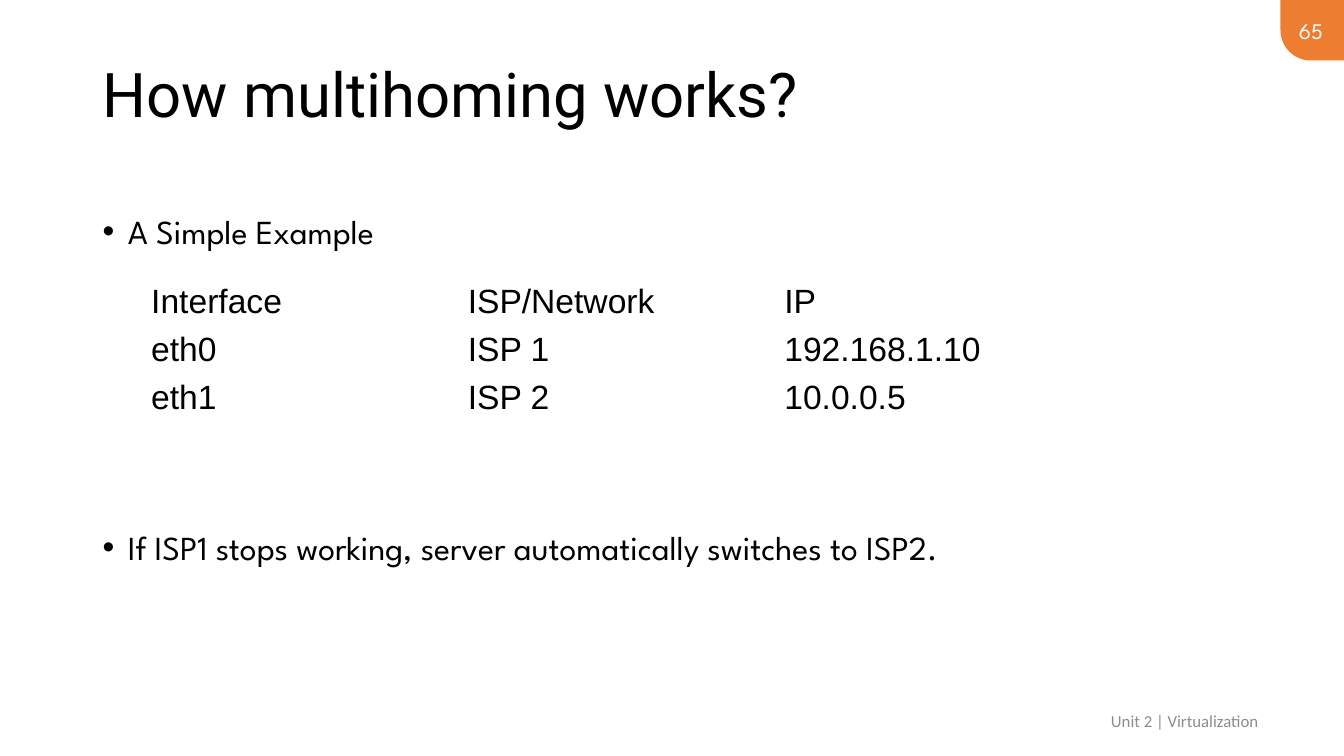
from dataclasses import dataclass

from lxml.etree import SubElement
from pptx import Presentation
from pptx.dml.color import RGBColor
from pptx.enum.shapes import MSO_SHAPE as Preset
from pptx.enum.text import MSO_ANCHOR as Anchor, MSO_AUTO_SIZE as AutoSize, PP_ALIGN as Align
from pptx.oxml.ns import qn
from pptx.slide import Slide
from pptx.text.text import TextFrame
from pptx.util import Pt

EMU_PER_PX = 9144  # 100 px to the inch
COLOURS = {"black": "000000", "grey": "8C8C8C", "white": "FFFFFF", "orange": "ED7D31"}


@dataclass(frozen=True)
class Box:
    left: int
    top: int
    width: int
    height: int

    def emu(self) -> tuple[int, int, int, int]:
        return px(self.left), px(self.top), px(self.width), px(self.height)


@dataclass(frozen=True)
class Label:
    text: str
    box: Box
    font: str
    size: int
    colour: str


@dataclass(frozen=True)
class Bullet:
    text: str
    space_before: float


TITLE = Label("How multihoming works?", Box(92, 40, 1150, 114), "Roboto", 44, "black")
CORNER_LABELS = [
    Label("Unit 2 | Virtualization", Box(808, 695, 450, 40), "Calibri", 12, "grey"),
    Label("65", Box(1258, 10, 64, 40), "League Spartan", 16, "white"),
]
BADGE_BOX = Box(1270, 0, 64, 60)
BODY_BOX = Box(92, 184, 1150, 492)
BULLETS = [
    Bullet("A Simple Example", 0),
    Bullet("If ISP1 stops working, server automatically switches to ISP2.", 182.5),
]
INTERFACES = [
    ["Interface", "ISP/Network", "IP"],
    ["eth0", "ISP 1", "192.168.1.10"],
    ["eth1", "ISP 2", "10.0.0.5"],
]
COLUMN_WIDTH, ROW_HEIGHT, CELL_MARGIN = 314, 47, 4


def px(length: int) -> int:
    return length * EMU_PER_PX


def colour(name: str) -> RGBColor:
    return RGBColor.from_string(COLOURS[name])


def write(frame: TextFrame, text: str, *, font: str, size: int, ink: str = "black",
          align: Align = Align.LEFT, line_spacing: float = 1.0,
          space_before: float = 0, bullet: bool = False) -> None:
    """Write one paragraph, reusing the first one while it is empty."""
    paragraph = frame.paragraphs[0] if not frame.text else frame.add_paragraph()
    paragraph.alignment = align
    paragraph.line_spacing = line_spacing
    paragraph.space_before = Pt(space_before)
    if bullet:
        properties = paragraph._p.get_or_add_pPr()
        properties.set("marL", str(px(25)))
        properties.set("indent", str(px(-25)))
        SubElement(properties, qn("a:buFont")).set("typeface", "Arial")
        SubElement(properties, qn("a:buChar")).set("char", "•")
    run = paragraph.add_run()
    run.text = text
    run.font.name = font
    run.font.size = Pt(size)
    run.font.color.rgb = colour(ink)


def add_text_box(slide: Slide, box: Box, anchor: Anchor) -> TextFrame:
    frame = slide.shapes.add_textbox(*box.emu()).text_frame
    frame.word_wrap = True
    frame.vertical_anchor = anchor
    return frame


def add_badge(slide: Slide) -> None:
    badge = slide.shapes.add_shape(Preset.ROUND_1_RECTANGLE, *BADGE_BOX.emu())
    badge.adjustments[0] = 0.5
    badge.rotation = 180
    badge.shadow.inherit = False
    badge.fill.solid()
    badge.fill.fore_color.rgb = colour("orange")
    badge.line.fill.background()


def set_title(slide: Slide) -> None:
    title = slide.shapes.title
    title.left, title.top, title.width, title.height = TITLE.box.emu()
    frame = title.text_frame
    frame.auto_size = AutoSize.NONE
    frame.vertical_anchor = Anchor.MIDDLE
    write(frame, TITLE.text, font=TITLE.font, size=TITLE.size, ink=TITLE.colour,
          line_spacing=0.9)


def add_interface_table(slide: Slide) -> None:
    rows, columns = len(INTERFACES), len(INTERFACES[0])
    box = Box(140, 275, COLUMN_WIDTH * columns, ROW_HEIGHT * rows)
    table = slide.shapes.add_table(rows, columns, *box.emu()).table
    table.first_row = table.horz_banding = False
    for row, values in enumerate(INTERFACES):
        for column, value in enumerate(values):
            cell = table.cell(row, column)
            cell.fill.background()
            cell.vertical_anchor = Anchor.MIDDLE
            cell.margin_top = cell.margin_bottom = px(CELL_MARGIN)
            write(cell.text_frame, value, font="Arial", size=24)


def main() -> None:
    presentation = Presentation()
    presentation.slide_width, presentation.slide_height = px(1333), px(750)
    slide = presentation.slides.add_slide(presentation.slide_layouts.get_by_name("Title Only"))

    # Corner badge and title
    add_badge(slide)
    set_title(slide)

    # Bullets, with room for the table between them
    body = add_text_box(slide, BODY_BOX, Anchor.TOP)
    for bullet in BULLETS:
        write(body, bullet.text, font="League Spartan", size=24, line_spacing=1.5,
              space_before=bullet.space_before, bullet=True)

    # Footer and slide number
    for label in CORNER_LABELS:
        frame = add_text_box(slide, label.box, Anchor.MIDDLE)
        write(frame, label.text, font=label.font, size=label.size, ink=label.colour,
              align=Align.RIGHT)

    # Network interfaces
    add_interface_table(slide)

    presentation.save("out.pptx")


if __name__ == "__main__":
    main()
